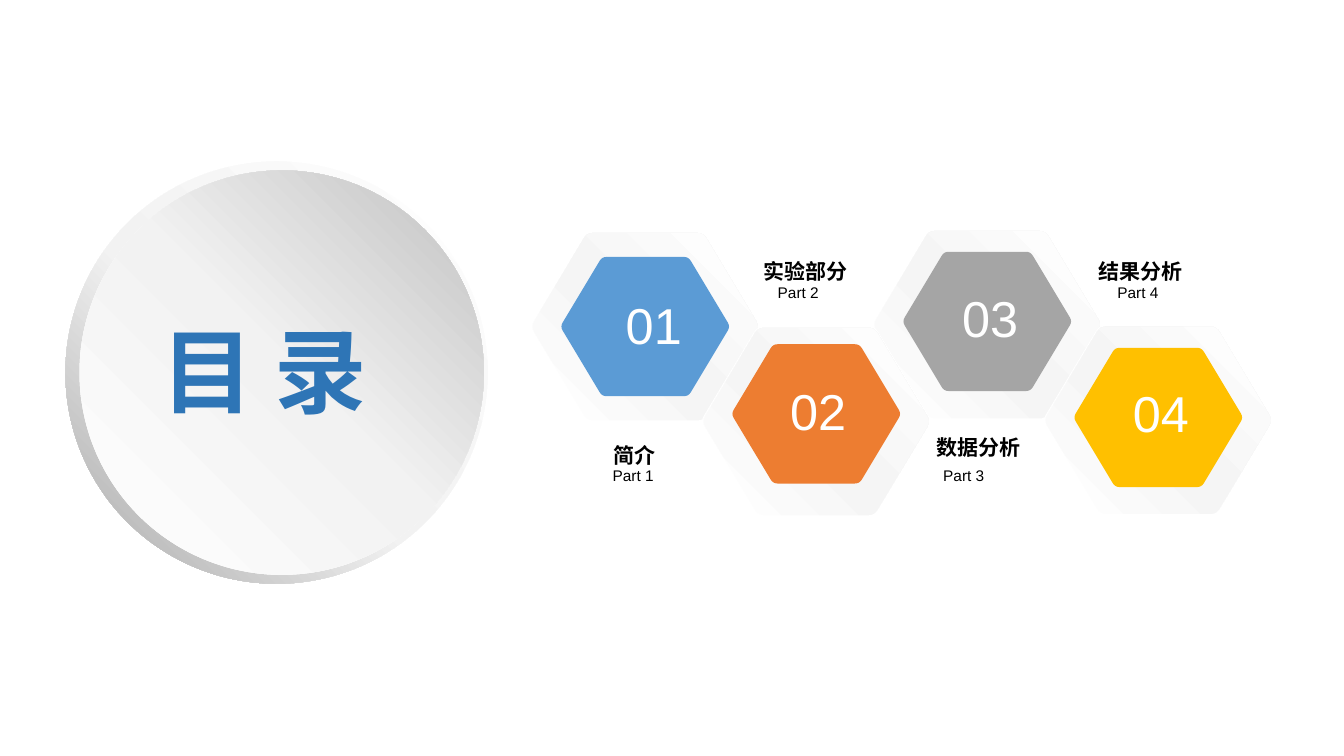
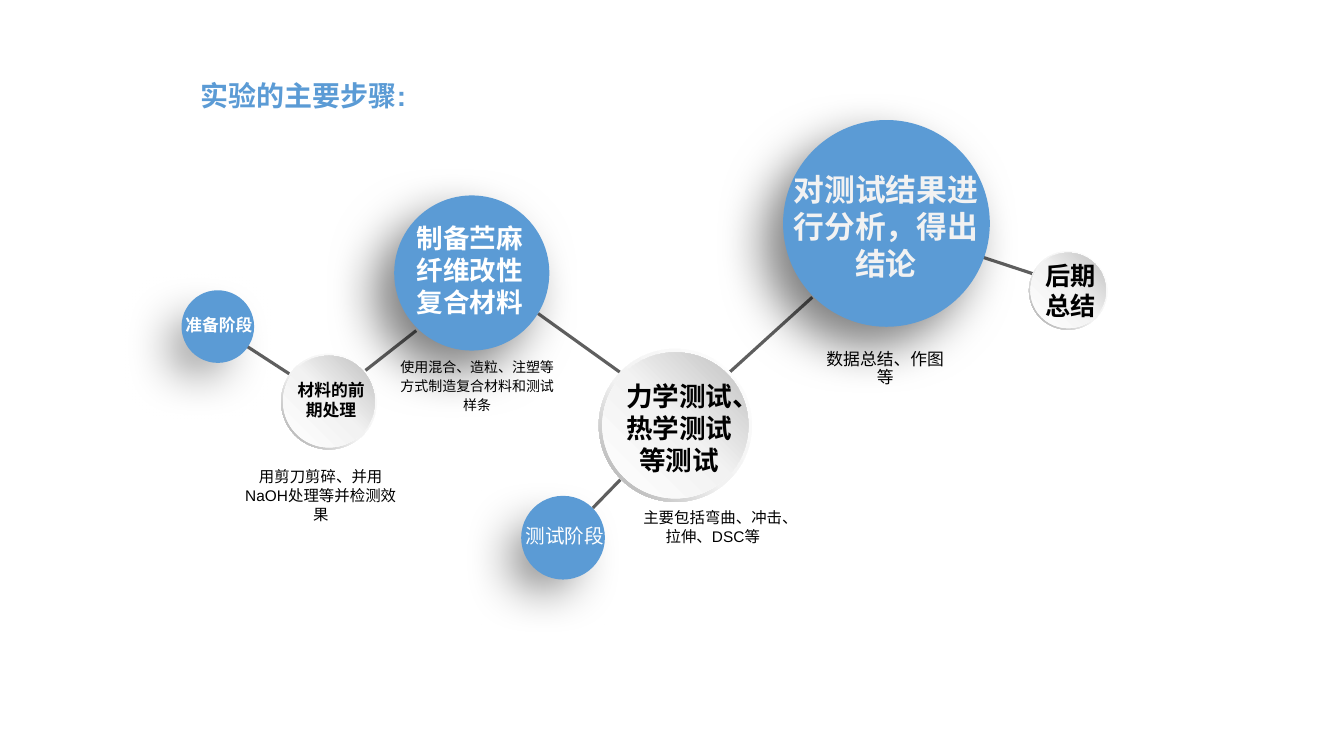
"""Build a contents slide and a slide of experiment steps."""
import copy
import math

import pptx
import pptx.dml.color
import pptx.enum.lang
import pptx.enum.shapes
import pptx.enum.text
import pptx.oxml
import pptx.oxml.ns
import pptx.util

Cm = pptx.util.Cm
Pt = pptx.util.Pt
SHAPE = pptx.enum.shapes.MSO_SHAPE
ALIGN = pptx.enum.text.PP_ALIGN
color = pptx.dml.color.RGBColor.from_string

BLUE, WHITE, BLACK, LIGHT = "5B9BD5", "FFFFFF", "000000", "F2F2F2"
RIM = [(0, WHITE), (0.55, LIGHT), (1, "A6A6A6")]
DISC = [(0, WHITE), (0.51, LIGHT), (1, "BFBFBF")]
SHEEN = [(0, WHITE), (0.47, "F5F5F5"), (1, WHITE)]
SHADOW = (
    f'<a:outerShdw {pptx.oxml.ns.nsdecls("a")} blurRad="{Pt(35)}" dist="{Pt(20)}" '
    'dir="8100000" algn="tr" rotWithShape="0"><a:srgbClr val="000000">'
    '<a:alpha val="50000"/></a:srgbClr></a:outerShdw>'
)


def paint(shape, fill, angle=45):
    """Fill a shape with one colour or three gradient stops, without line or shadow."""
    shape.shadow.inherit = False
    shape.line.fill.background()
    if isinstance(fill, str):
        shape.fill.solid()
        shape.fill.fore_color.rgb = color(fill)
        return
    shape.fill.gradient()
    shape.fill.gradient_angle = angle
    stop_list = next(shape.element.iter(pptx.oxml.ns.qn("a:gsLst")))
    stop_list.insert(1, copy.deepcopy(stop_list[0]))
    for stop, (position, shade) in zip(shape.fill.gradient_stops, fill):
        stop.position = position
        stop.color.rgb = color(shade)


def write(shape, text, size, shade, bold=False, align=ALIGN.LEFT, font="Arial", spacing=None):
    """Put one formatted paragraph in a shape."""
    frame = shape.text_frame
    frame.text = text
    frame.word_wrap = True
    frame.auto_size = pptx.enum.text.MSO_AUTO_SIZE.NONE
    frame.vertical_anchor = pptx.enum.text.MSO_ANCHOR.TOP
    paragraph = frame.paragraphs[0]
    paragraph.alignment = align
    if spacing:
        paragraph.line_spacing = Pt(spacing)
        frame.margin_left = frame.margin_right = Cm(0.2)
        frame.margin_top = frame.margin_bottom = Cm(0.1)
    run_font = paragraph.runs[0].font
    run_font.name = font
    run_font.size = Pt(size)
    run_font.bold = bold
    run_font.color.rgb = color(shade)
    run_font.language_id = pptx.enum.lang.MSO_LANGUAGE_ID.SIMPLIFIED_CHINESE


presentation = pptx.Presentation()
presentation.slide_width = Cm(33.87)
presentation.slide_height = Cm(19.05)
title_only = presentation.slide_layouts[5]
contents = presentation.slides.add_slide(title_only)
steps = presentation.slides.add_slide(title_only)

links = [
    (24.61, 6.43, 26.37, 7.01),
    (18.31, 9.45, 20.47, 7.49),
    (9.19, 9.35, 10.49, 8.33),
    (13.56, 7.9, 15.72, 9.45),
    (6.12, 8.66, 7.29, 9.42),
    (14.94, 12.8, 15.65, 12.07),
]
for ends in links:
    link = steps.shapes.add_connector(
        pptx.enum.shapes.MSO_CONNECTOR.STRAIGHT, *[Cm(value) for value in ends]
    )
    link.line.color.rgb = color("5F5F5F")
    link.line.width = Pt(2.25)
    link.element.spPr.append(
        pptx.oxml.parse_xml(f'<a:effectLst {pptx.oxml.ns.nsdecls("a")}/>')
    )

blue_balls = [
    (22.34, 5.63, 5.21, 4.95),
    (14.19, 13.55, 1.63, 2.11),
    (11.89, 6.88, 3.91, 3.73),
    (5.49, 8.23, 1.32, 1.83),
]
for center_x, center_y, base_size, face_size in blue_balls:
    for size in (base_size, face_size):
        ball = steps.shapes.add_shape(
            SHAPE.OVAL, Cm(center_x - size / 2), Cm(center_y - size / 2), Cm(size), Cm(size)
        )
        paint(ball, BLUE)
        if size == base_size:
            effects = ball.element.spPr.find(pptx.oxml.ns.qn("a:effectLst"))
            effects.append(pptx.oxml.parse_xml(SHADOW))

silver_balls = [
    (contents, 6.97, 9.39, 10.64, 10.19, 0.13),
    (steps, 8.29, 10.12, 2.41, 2.31, 0),
    (steps, 26.92, 7.32, 1.98, 1.9, 0),
    (steps, 17.02, 10.72, 3.86, 3.68, 0),
]
for slide, center_x, center_y, rim_size, disc_size, shift in silver_balls:
    for kind, x, size, stops, angle in (
        (SHAPE.DONUT, center_x, rim_size, RIM, 225),
        (SHAPE.OVAL, center_x + shift, disc_size, DISC, 45),
    ):
        part = slide.shapes.add_shape(
            kind, Cm(x - size / 2), Cm(center_y - size / 2), Cm(size), Cm(size)
        )
        paint(part, stops, angle)
        if kind == SHAPE.DONUT:
            part.adjustments[0] = 0.05

titles = [
    (contents, "目 录", 3.81, 7.8, 7.47, 3.07, 66, "2E75B6", ALIGN.LEFT),
    (steps, "实验的主要步骤:", 0.5, 1.85, 9.99, 1.09, 20, BLUE, ALIGN.RIGHT),
]
for slide, text, left, top, width, height, size, shade, align in titles:
    title = slide.shapes.title
    title.left, title.top, title.width, title.height = Cm(left), Cm(top), Cm(width), Cm(height)
    write(title, text, size, shade, True, align)
    title.element.getparent().append(title.element)

corners = [(-0.61, 0), (-0.31, -0.5), (0.31, -0.5), (0.61, 0), (0.31, 0.5), (-0.31, 0.5)]
rounded_hexagon = []
for index, corner in enumerate(corners):
    before, after = corners[index - 1], corners[(index + 1) % 6]
    start, end = [
        [c + (n - c) * 0.033 / math.dist(corner, near) for c, n in zip(corner, near)]
        for near in (before, after)
    ]
    for step in range(5):
        t = step / 4
        rounded_hexagon.append([
            (1 - t) ** 2 * s + 2 * t * (1 - t) * c + t ** 2 * e
            for s, c, e in zip(start, corner, end)
        ])

sections = [
    (3, "A5A5A5", 8.18, 8.1, (24, 7.11), "数据分析", (23.34, 10.82), (23.52, 11.61)),
    (1, BLUE, 8.23, 8.23, (15.52, 7.29), "简介", (15.21, 11.02), (15.19, 11.63)),
    (2, "ED7D31", 10.62, 10.43, (19.66, 9.45), "实验部分", (19, 6.38), (19.35, 7.01)),
    (4, "FFC000", 10.59, 10.52, (28.3, 9.5), "结果分析", (27.43, 6.38), (27.91, 7.01)),
]
for number, shade, frame_y, face_y, number_at, name, name_at, part_at in sections:
    center_x = 16.26 + 4.31 * (number - 1)
    for center_y, height, fill in (
        (frame_y, 4.78, WHITE), (frame_y, 4.72, SHEEN), (face_y, 3.51, shade)
    ):
        points = [(Cm(center_x + x * height), Cm(center_y + y * height)) for x, y in rounded_hexagon]
        builder = contents.shapes.build_freeform(*points[0])
        builder.add_line_segments(points[1:], close=True)
        paint(builder.convert_to_shape(), fill)
    for text, (left, top), height, size, text_shade, bold in (
        (f"{number:02}", number_at, 2.26, 36, WHITE, False),
        (name, name_at, 0.89, 15, BLACK, True),
        (f"Part {number}", part_at, 0.74, 11, BLACK, False),
    ):
        box = contents.shapes.add_textbox(Cm(left), Cm(top), Cm(3.6), Cm(height))
        write(box, text, size, text_shade, bold)

ball_labels = [
    ("对测试结果进行分析，得出结论", 19.43, 4.17, 5.79, 3.07, 22, LIGHT, True, ALIGN.CENTER, "Arial"),
    ("力学测试、热学测试等测试", 15.44, 9.45, 3.35, 2.69, 19, BLACK, True, ALIGN.CENTER, "Arial"),
    ("制备苎麻纤维改性复合材料", 9.98, 5.46, 3.73, 2.69, 19, WHITE, True, ALIGN.CENTER, "Arial"),
    ("材料的前期处理", 7.09, 9.45, 2.51, 1.27, 12, BLACK, True, ALIGN.CENTER, "Arial"),
    ("准备阶段", 4.42, 7.8, 3, 0.76, 12, WHITE, True, ALIGN.LEFT, "Calibri"),
    ("测试阶段", 13, 13.08, 3, 0.86, 14, WHITE, False, ALIGN.LEFT, "Calibri"),
    ("后期总结", 26.09, 6.43, 1.96, 1.8, 18, BLACK, True, ALIGN.LEFT, "Calibri"),
]
for text, left, top, width, height, *style in ball_labels:
    box = steps.shapes.add_textbox(Cm(left), Cm(top), Cm(width), Cm(height))
    write(box, text, *style)

step_notes = [
    ("用剪刀剪碎、并用NaOH处理等并检测效果", 5.94, 11.66, 4.29, 1.7, 11),
    ("使用混合、造粒、注塑等方式制造复合材料和测试样条", 9.88, 8.89, 4.29, 1.7, 10),
    ("主要包括弯曲、冲击、拉伸、DSC等", 15.82, 12.7, 4.29, 1.17, 11),
    ("数据总结、作图等", 20.42, 8.71, 3.78, 1.22, 12),
]
for text, left, top, width, height, size in step_notes:
    box = steps.shapes.add_textbox(Cm(left), Cm(top), Cm(width), Cm(height))
    write(box, text, size, BLACK, align=ALIGN.CENTER, spacing=13.5)

presentation.save("out.pptx")
